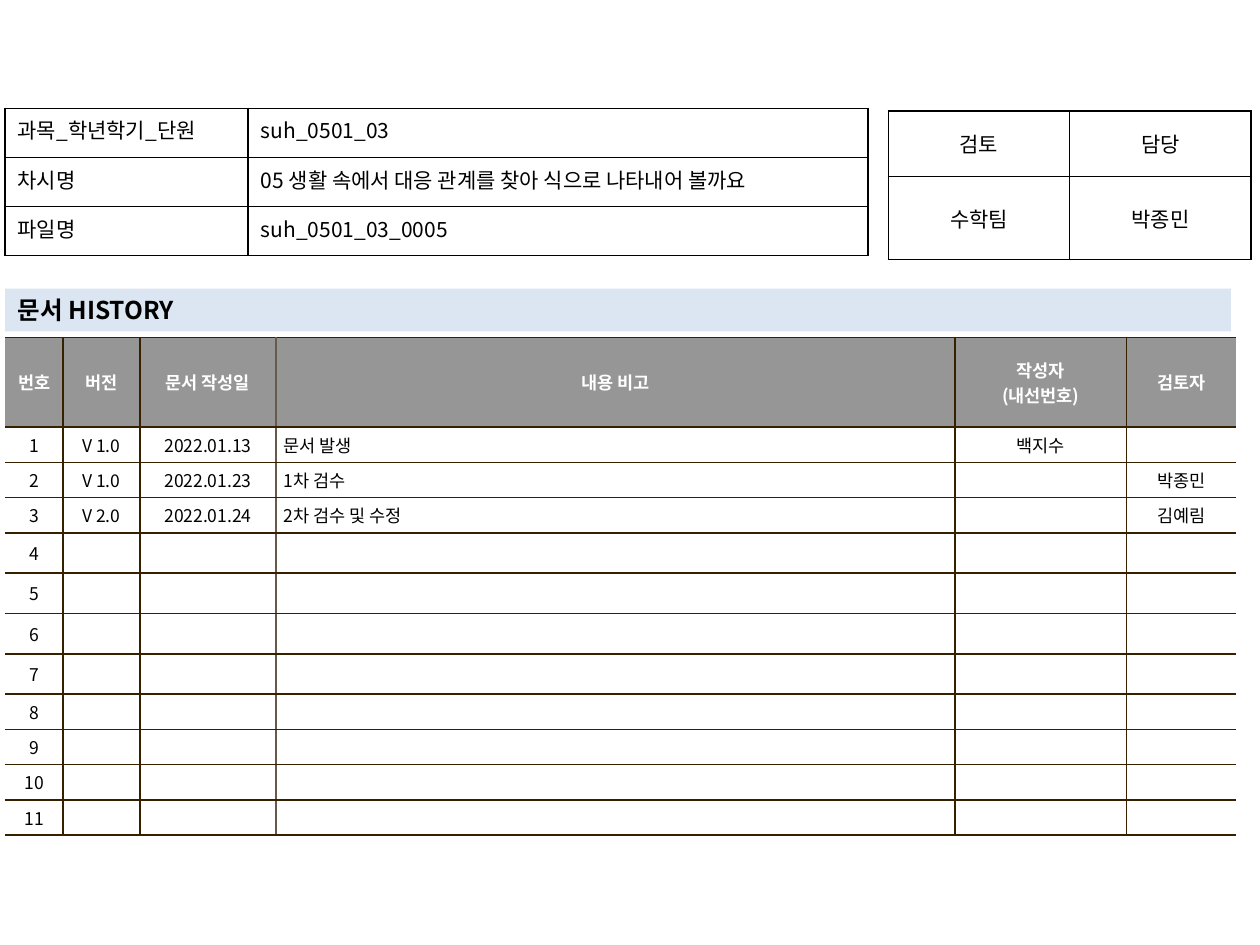
from lxml import etree
from pptx import Presentation
from pptx.dml.color import RGBColor
from pptx.enum.text import MSO_ANCHOR, MSO_AUTO_SIZE, PP_ALIGN
from pptx.oxml.ns import qn
from pptx.util import Inches, Pt

TOP, MIDDLE = MSO_ANCHOR.TOP, MSO_ANCHOR.MIDDLE
LEFT, CENTER, JUSTIFY = PP_ALIGN.LEFT, PP_ALIGN.CENTER, PP_ALIGN.JUSTIFY
NO_FIT = MSO_AUTO_SIZE.NONE
FONT = "Noto Sans CJK KR"
COLORS = {
    "black": "000000",
    "white": "FFFFFF",
    "head": "969696",
    "band": "DCE6F2",
    "line": "362000",
    "soft": "645B4C",
}


def rgb(name):
    return RGBColor.from_string(COLORS[name])


def style(para, size, color="black", bold=False, align=LEFT):
    para.alignment = align
    for run in para.runs:
        run.font.size = Pt(size)
        run.font.bold = bold
        run.font.color.rgb = rgb(color)
        run.font.name = FONT
        etree.SubElement(run._r.rPr, qn("a:ea"), typeface=FONT)
    if not para.runs:
        etree.SubElement(para._p, qn("a:endParaRPr"), sz=str(size * 100))


def border(cell, sides):
    props = cell._tc.get_or_add_tcPr()
    for side in "LRTB":
        line = etree.SubElement(props, qn(f"a:ln{side}"), w=str(Pt(1)))
        color = sides[side]
        if color:
            fill = etree.SubElement(line, qn("a:solidFill"))
            etree.SubElement(fill, qn("a:srgbClr"), val=COLORS[color])
        else:
            etree.SubElement(line, qn("a:noFill"))


def grid(slide, left, top, cols, rows):
    frame = slide.shapes.add_table(
        len(rows), len(cols), Inches(left), Inches(top),
        Inches(sum(cols)), Inches(sum(rows)))
    table = frame.table
    table.first_row = table.horz_banding = False
    for col, width in zip(table.columns, cols):
        col.width = Inches(width)
    for row, height in zip(table.rows, rows):
        row.height = Inches(height)
    return table


def add_info(slide, left, top, cols, rows, data, aligns, anchor):
    table = grid(slide, left, top, cols, rows)
    for r, texts in enumerate(data):
        for c, text in enumerate(texts):
            cell = table.cell(r, c)
            border(cell, dict.fromkeys("LRTB", "black"))
            cell.fill.background()
            cell.vertical_anchor = anchor
            cell.text_frame.text = text
            style(cell.text_frame.paragraphs[0], 12, align=aligns[c])


def add_title(slide, left, top, width, height):
    title = slide.shapes.title
    title.left, title.top = Inches(left), Inches(top)
    title.width, title.height = Inches(width), Inches(height)
    title.fill.solid()
    title.fill.fore_color.rgb = rgb("band")
    frame = title.text_frame
    frame.text = "문서 HISTORY"
    frame.auto_size = NO_FIT
    frame.vertical_anchor = MIDDLE
    style(frame.paragraphs[0], 14, bold=True)


def add_log(slide, left, top, cols, rows, data):
    table = grid(slide, left, top, cols, rows)
    edges = [None, "line", "line", "soft", "line", "line", None]
    for r, texts in enumerate(data):
        head = r == 0
        for c, text in enumerate(texts):
            cell = table.cell(r, c)
            border(cell, {"L": edges[c], "R": edges[c + 1],
                          "T": "line", "B": "line"})
            cell.fill.solid()
            cell.fill.fore_color.rgb = rgb("head" if head else "white")
            cell.vertical_anchor = MIDDLE
            cell.margin_left = cell.margin_right = Inches(0.06)
            cell.margin_top = cell.margin_bottom = Inches(0.04)
            cell.text_frame.text = text
            align = LEFT if c == 3 and not head else CENTER
            for para in cell.text_frame.paragraphs:
                style(para, 10, "white" if head else "black", head, align)


def main():
    deck = Presentation()
    deck.slide_width, deck.slide_height = Inches(10), Inches(7.5)
    slide = deck.slides.add_slide(deck.slide_layouts[5])

    log = [
        ["번호", "버전", "문서 작성일", "내용 비고", "작성자\n(내선번호)", "검토자"],
        ["1", "V 1.0", "2022.01.13", "문서 발생", "백지수", ""],
        ["2", "V 1.0", "2022.01.23", "1차 검수", "", "박종민"],
        ["3", "V 2.0", "2022.01.24", "2차 검수 및 수정", "", "김예림"],
    ]
    log += [[str(n)] + [""] * 5 for n in range(4, 12)]
    heights = [0.71] + [0.28] * 3 + [0.32] * 4 + [0.28] * 4
    add_log(slide, 0.04, 2.68, [0.46, 0.61, 1.08, 5.39, 1.36, 0.87],
            heights, log)

    team = [["검토", "담당"], ["수학팀", "박종민"]]
    add_info(slide, 7.05, 0.88, [1.44] * 2, [0.52, 0.66], team,
             [CENTER, CENTER], MIDDLE)

    add_title(slide, 0.04, 2.29, 9.73, 0.34)

    unit = [
        ["과목_학년학기_단원", "suh_0501_03"],
        ["차시명", "05 생활 속에서 대응 관계를 찾아 식으로 나타내어 볼까요"],
        ["파일명", "suh_0501_03_0005"],
    ]
    add_info(slide, 0.04, 0.86, [1.93, 4.92], [0.39] * 3, unit,
             [JUSTIFY, LEFT], TOP)

    deck.save("out.pptx")


if __name__ == "__main__":
    main()
